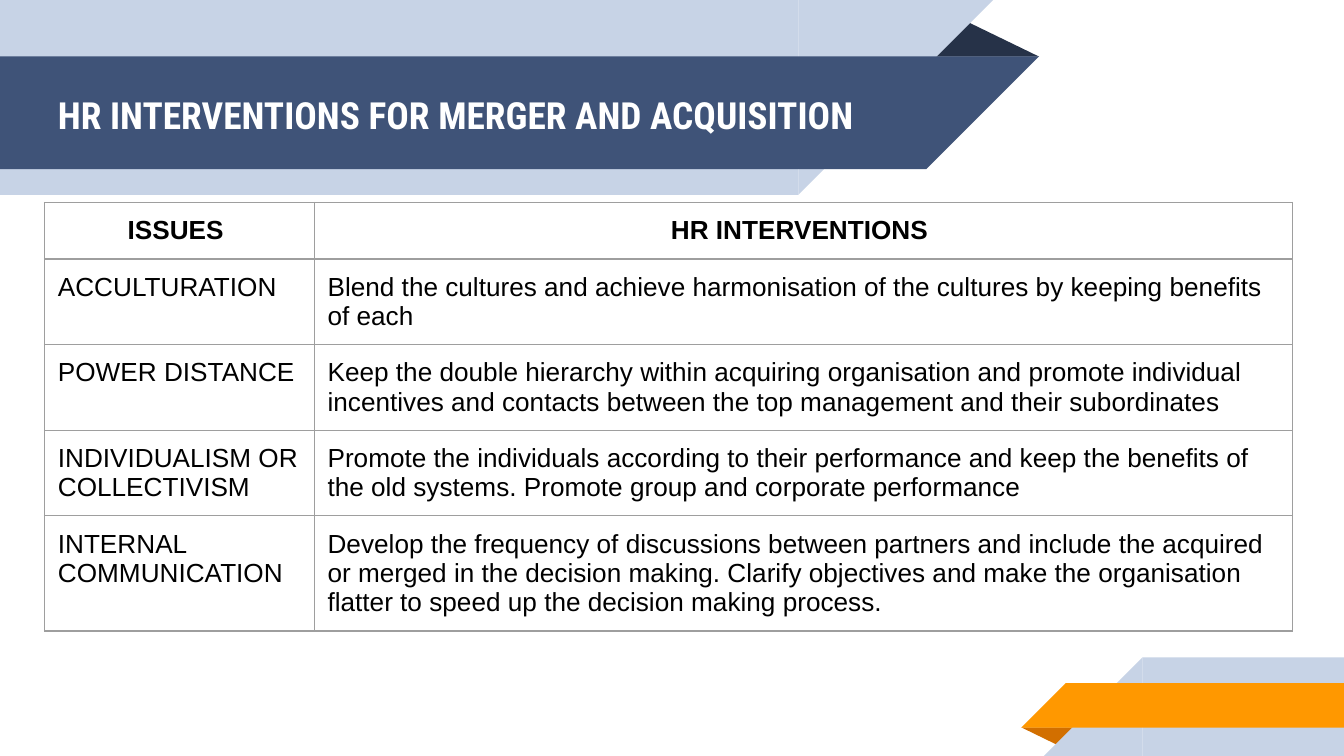
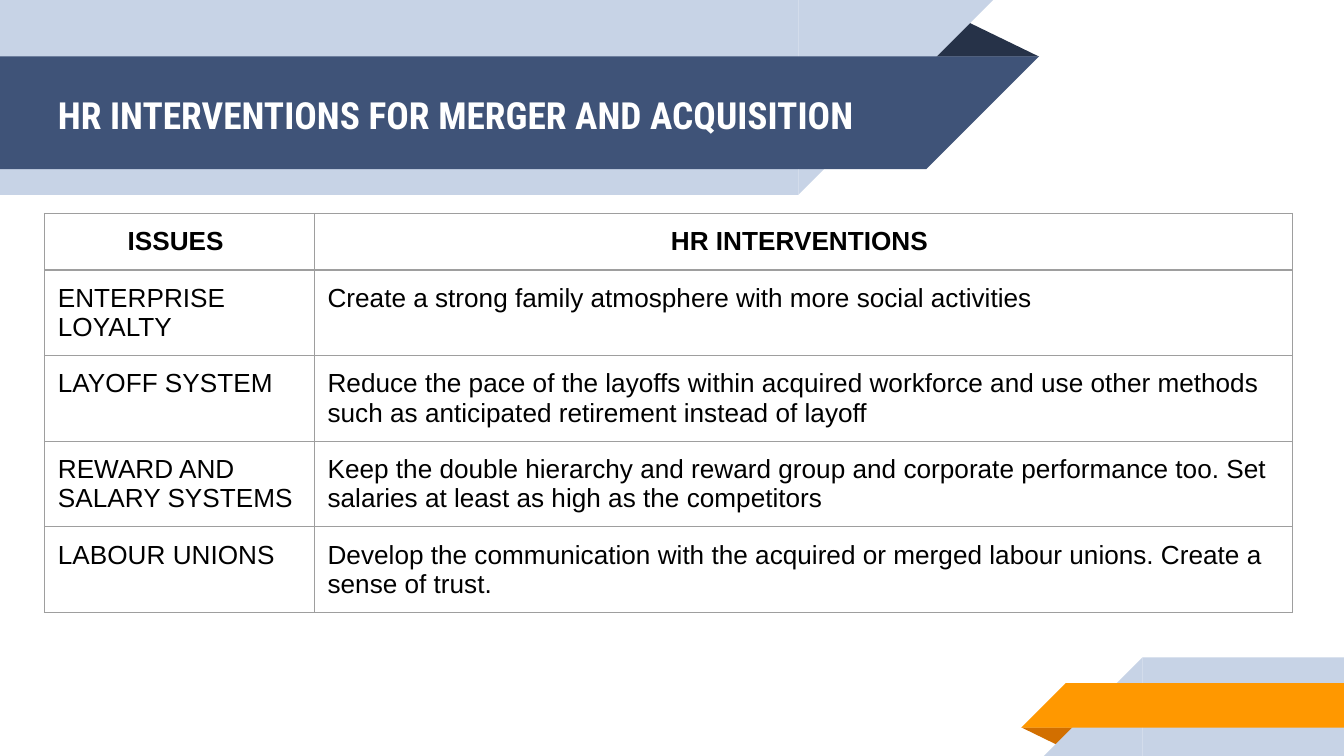
from lxml.etree import SubElement
from pptx import Presentation
from pptx.dml.color import RGBColor
from pptx.enum.shapes import MSO_SHAPE
from pptx.enum.text import MSO_ANCHOR, MSO_AUTO_SIZE, PP_ALIGN
from pptx.oxml import parse_xml
from pptx.oxml.ns import nsdecls, qn
from pptx.util import Pt

PALE, NAVY, NAVY_FOLD = "C7D3E6", "3F5378", "263248"
ORANGE, ORANGE_FOLD = "FF9800", "D26F00"
WHITE, BLACK, GRID = "FFFFFF", "000000", "9E9E9E"
TITLE_FONT, BODY_FONT = "Roboto Condensed", "Arial"
WIDTH, HEIGHT = 720, 405
LEFT = 23.8
INSET = 7.2
COLUMNS = (144.5, 524)
ROW_HEIGHT = 30.2

TITLE = "HR INTERVENTIONS FOR MERGER AND ACQUISITION"
HEADER = ("ISSUES ", "HR INTERVENTIONS ")
# Each slide: table top, table height, rows
SLIDES = [
    (108.5, 240, [
        ("ACCULTURATION",
         "Blend the cultures and achieve harmonisation of the cultures by "
         "keeping benefits of each"),
        ("POWER DISTANCE",
         "Keep the double hierarchy within acquiring organisation and promote "
         "individual incentives and contacts between the top management and "
         "their subordinates"),
        ("INDIVIDUALISM OR COLLECTIVISM",
         "Promote the individuals according to their performance and keep the "
         "benefits of the old systems. Promote group and corporate performance"),
        ("INTERNAL COMMUNICATION",
         "Develop the frequency of discussions between partners and include "
         "the acquired or merged in the decision making. Clarify objectives "
         "and make the organisation flatter to speed up the decision making "
         "process."),
    ]),
    (114.4, 223, [
        ("ENTERPRISE LOYALTY",
         "Create a strong family atmosphere with more social activities"),
        ("LAYOFF SYSTEM",
         "Reduce the pace of the layoffs within acquired workforce and use "
         "other methods such as anticipated retirement instead of layoff"),
        ("REWARD AND SALARY SYSTEMS",
         "Keep the double hierarchy and reward group and corporate performance "
         "too. Set salaries at least as high as the competitors"),
        ("LABOUR UNIONS",
         "Develop the communication with the acquired or merged labour unions. "
         "Create a sense of trust."),
    ]),
]


def rgb(color):
    return RGBColor.from_string(color)


def set_insets(item):
    item.margin_left = item.margin_right = Pt(INSET)
    item.margin_top = item.margin_bottom = Pt(INSET)


def set_font(p, name, size, color, bold):
    p.font.name, p.font.size, p.font.bold = name, Pt(size), bold
    p.font.color.rgb = rgb(color)


def set_borders(cell, color, width):
    tcPr = cell._tc.get_or_add_tcPr()
    for i, side in enumerate("LRTB"):
        ln = parse_xml(f'<a:ln{side} {nsdecls("a")} w="{Pt(width)}"/>')
        fill = SubElement(ln, qn("a:solidFill"))
        SubElement(fill, qn("a:srgbClr"), val=color)
        tcPr.insert(i, ln)


class Deck:
    """Holds the presentation, its style and the current slide."""

    def __init__(self):
        self.prs = Presentation()
        self.prs.slide_width, self.prs.slide_height = Pt(WIDTH), Pt(HEIGHT)
        self.s = None

    def new_slide(self):
        self.s = self.prs.slides.add_slide(self.prs.slide_layouts[5])
        self.fold(495.4, 10.1, 61.2, 20.2, NAVY_FOLD)
        self.left_band(0, 427.7, 104.4, PALE)
        self.left_band(30.2, 496.1, 60.5, NAVY)
        self.fold(547.2, 389.7, 31, 10.3, ORANGE_FOLD, 180)
        self.right_band(352.2, 612, 52.8, PALE)
        self.right_band(366, 571, 23.8, ORANGE)

    def shape(self, kind, x, y, w, h, color, rotation=0):
        sp = self.s.shapes.add_shape(kind, Pt(x), Pt(y), Pt(w), Pt(h))
        sp.shadow.inherit = False
        sp.fill.solid()
        sp.fill.fore_color.rgb = rgb(color)
        sp.line.fill.background()
        sp.rotation = rotation
        return sp

    def fold(self, x, y, w, h, color, rotation=0):
        sp = self.shape(MSO_SHAPE.ISOSCELES_TRIANGLE, x, y, w, h, color, rotation)
        sp.adjustments[0] = 0.32

    def left_band(self, y, tip, h, color):
        """Band from the left edge whose slanted end starts at tip."""
        self.shape(MSO_SHAPE.RECTANGLE, 0, y, tip, h, color)
        self.shape(MSO_SHAPE.RIGHT_TRIANGLE, tip, y, h, h, color, 90)

    def right_band(self, y, tip, h, color):
        """Band to the right edge whose slanted end stops at tip."""
        self.shape(MSO_SHAPE.RECTANGLE, tip, y, WIDTH - tip, h, color)
        self.shape(MSO_SHAPE.RIGHT_TRIANGLE, tip - h, y, h, h, color, 270)

    def title(self, text):
        sp = self.s.shapes.title
        sp.element.getparent().append(sp.element)  # in front of the bands
        sp.left, sp.top, sp.width, sp.height = Pt(LEFT), Pt(31), Pt(470), Pt(60.5)
        tf = sp.text_frame
        tf.text = text
        tf.word_wrap = True
        tf.auto_size = MSO_AUTO_SIZE.NONE
        tf.vertical_anchor = MSO_ANCHOR.MIDDLE
        set_insets(tf)
        p = tf.paragraphs[0]
        p.alignment = PP_ALIGN.LEFT
        set_font(p, TITLE_FONT, 20, WHITE, True)

    def table(self, top, height, rows):
        frame = self.s.shapes.add_table(
            len(rows), len(COLUMNS), Pt(LEFT), Pt(top),
            Pt(sum(COLUMNS)), Pt(ROW_HEIGHT * len(rows)))
        frame.height = Pt(height)
        table = frame.table
        table.first_row = table.horz_banding = False
        for column, width in zip(table.columns, COLUMNS):
            column.width = Pt(width)
        for i, row in enumerate(rows):
            for j, text in enumerate(row):
                self.cell(table.cell(i, j), text, header=i == 0)

    def cell(self, cell, text, header):
        cell.text = text
        cell.fill.background()
        set_insets(cell)
        set_borders(cell, GRID, 0.75)
        p = cell.text_frame.paragraphs[0]
        p.alignment = PP_ALIGN.CENTER if header else PP_ALIGN.LEFT
        set_font(p, BODY_FONT, 14, BLACK, header)


def main():
    deck = Deck()
    for top, height, rows in SLIDES:
        deck.new_slide()
        deck.title(TITLE)
        deck.table(top, height, [HEADER] + rows)
    deck.prs.save("out.pptx")


if __name__ == "__main__":
    main()
